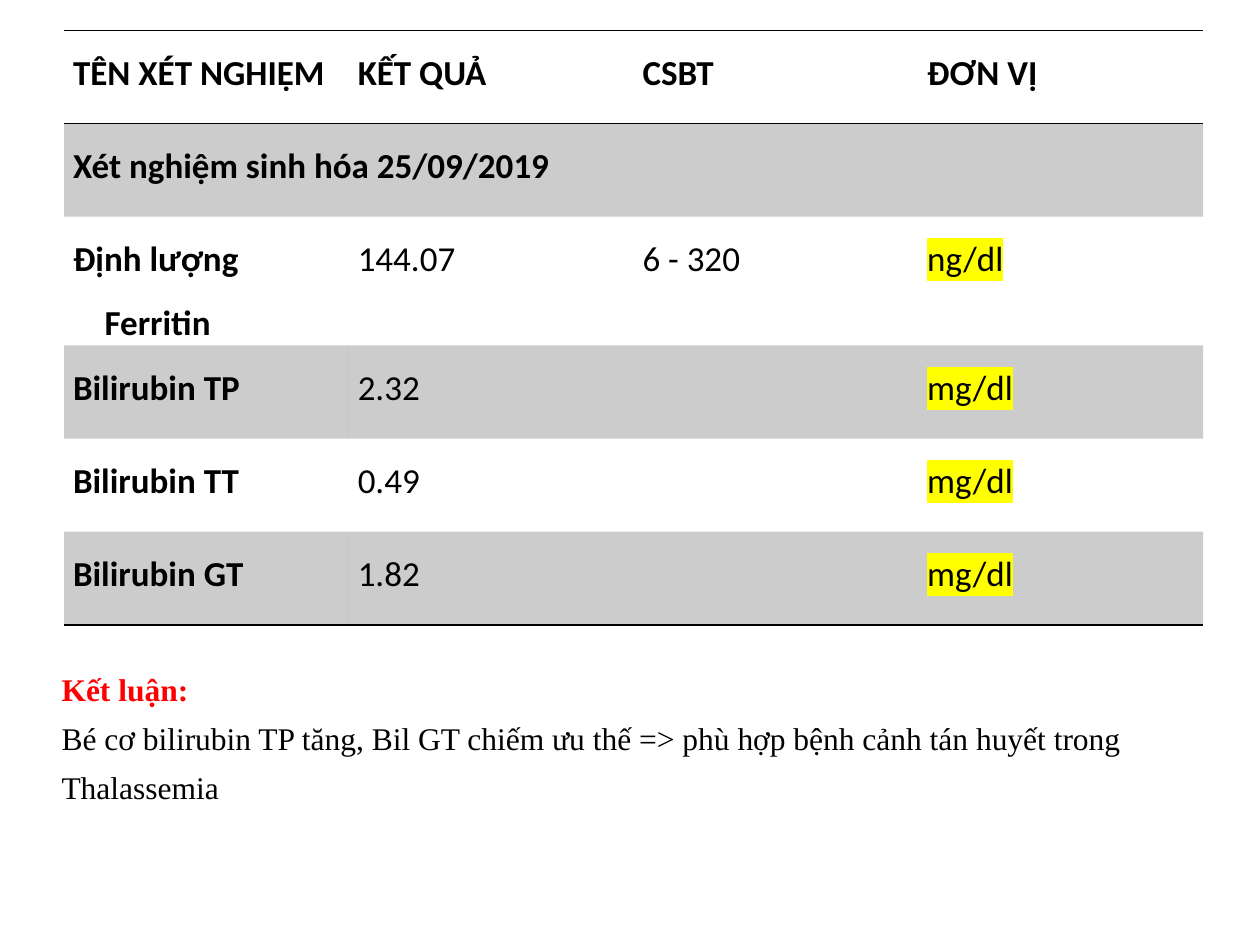
import pptx
import pptx.dml.color
import pptx.oxml.ns
import pptx.util
from lxml import etree

Inches, Pt = pptx.util.Inches, pptx.util.Pt
qn = pptx.oxml.ns.qn
THEME = {
    "ink": "000000", "accent": "FF0000", "highlight": "FFFF00",
    "band_opacity": "20000", "rule": Pt(1),
    "table_font": "Calibri", "table_size": Pt(20),
    "note_font": "Times New Roman", "note_size": Pt(18),
}
NO_STYLE = "{2D5ABB26-0587-4C30-8999-92F81FD0307C}"
COLUMN_WIDTH, ROW_HEIGHT = Inches(2.26), Inches(0.74)


def style_paragraph(paragraph, kind, color, bold, spacing, margin, indent):
    properties = paragraph._p.get_or_add_pPr()
    properties.set("marL", str(margin))
    properties.set("indent", str(indent))
    paragraph.line_spacing = spacing
    paragraph.font.name = THEME[kind + "_font"]
    paragraph.font.size = THEME[kind + "_size"]
    paragraph.font.bold = bold
    paragraph.font.color.rgb = pptx.dml.color.RGBColor.from_string(THEME[color])


def add_color(parent, tag, color):
    holder = etree.SubElement(parent, qn(tag))
    return etree.SubElement(holder, qn("a:srgbClr"), val=THEME[color])


presentation = pptx.Presentation()
presentation.slide_width, presentation.slide_height = Inches(10), Inches(7.5)
slide = presentation.slides.add_slide(presentation.slide_layouts[6])

# Test results
results = [
    ["TÊN XÉT NGHIỆM", "KẾT QUẢ", "CSBT", "ĐƠN VỊ"],
    ["Xét nghiệm sinh hóa 25/09/2019", "", "", ""],
    ["Định lượng Ferritin", "144.07", "6 - 320", "ng/dl"],
    ["Bilirubin TP", "2.32", "", "mg/dl"],
    ["Bilirubin TT", "0.49", "", "mg/dl"],
    ["Bilirubin GT", "1.82", "", "mg/dl"],
]
row_count, column_count = len(results), len(results[0])
table = slide.shapes.add_table(
    row_count, column_count, Inches(0.51), Inches(0.24),
    COLUMN_WIDTH * column_count, ROW_HEIGHT * row_count).table
table._tbl.tblPr.find(qn("a:tableStyleId")).text = NO_STYLE
table.first_row = table.horz_banding = False
for column in table.columns:
    column.width = COLUMN_WIDTH
table.cell(1, 0).merge(table.cell(1, column_count - 1))

for row, values in enumerate(results):
    # Rules above and below the header, and below the last row
    sides = {0: ["a:lnT", "a:lnB"], row_count - 1: ["a:lnB"]}.get(row, [])
    for column, value in enumerate(values):
        cell = table.cell(row, column)
        cell.margin_left = cell.margin_right = Inches(0.07)
        cell.margin_top = cell.margin_bottom = 0
        properties = cell._tc.get_or_add_tcPr()
        for side in sides:
            line = etree.SubElement(properties, qn(side), w=str(THEME["rule"]))
            add_color(line, "a:solidFill", "ink")

        # Translucent band on every second row
        if row % 2:
            band = add_color(properties, "a:solidFill", "ink")
            etree.SubElement(band, qn("a:alpha"), val=THEME["band_opacity"])
        else:
            cell.fill.background()

        paragraph = cell.text_frame.paragraphs[0]
        style_paragraph(paragraph, "table", "ink", row < 2 or column == 0,
                        1.5, Inches(0.25), -Inches(0.25))
        if value:
            run = paragraph.add_run()
            run.text = value
            if row > 1 and column == column_count - 1:
                add_color(run._r.get_or_add_rPr(), "a:highlight", "highlight")
for table_row in table.rows:
    table_row.height = ROW_HEIGHT

# Conclusion
conclusion = slide.shapes.add_textbox(
    Inches(-0.61), Inches(5.18), Inches(10.45), Inches(1.28))
frame = conclusion.text_frame
frame.word_wrap = True
frame.text = ("Kết luận:\nBé cơ bilirubin TP tăng, Bil GT chiếm ưu thế => "
              "phù hợp bệnh cảnh tán huyết trong Thalassemia")
heading, finding = frame.paragraphs
style_paragraph(heading, "note", "accent", True, 1.3, Inches(1), 0)
style_paragraph(finding, "note", "ink", False, 1.3, Inches(1), 0)

presentation.save("out.pptx")
